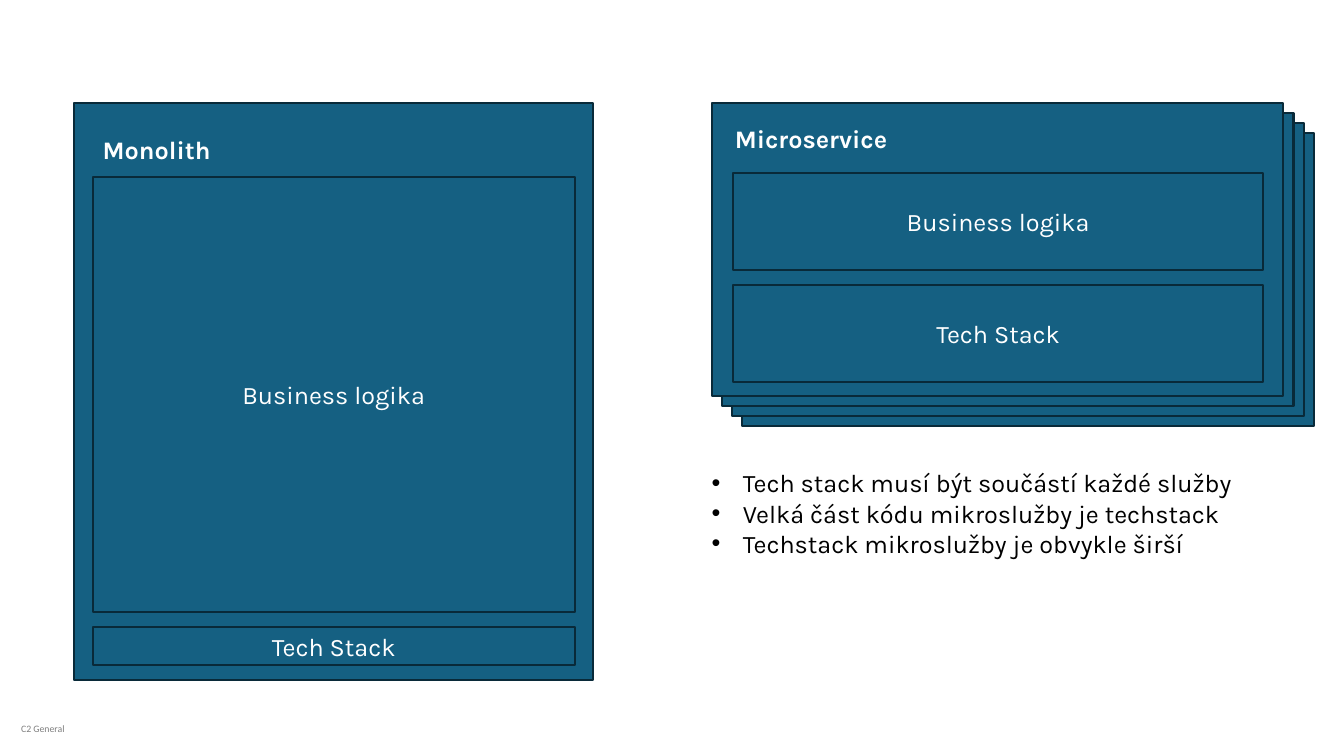
from dataclasses import dataclass

from lxml.etree import SubElement
from pptx import Presentation
from pptx.dml.color import RGBColor
from pptx.enum.shapes import MSO_SHAPE as Preset
from pptx.enum.text import MSO_ANCHOR as Anchor, PP_ALIGN as Align
from pptx.oxml.ns import qn
from pptx.util import Emu, Pt

EMU_PER_PX = 9144


@dataclass(frozen=True)
class Theme:
    fill: str = "156082"
    outline: str = "092A39"
    light: str = "FFFFFF"
    dark: str = "000000"
    muted: str = "7F7F7F"
    font: str = "Karla"
    footer_font: str = "Calibri"
    bullet_font: str = "Arial"
    body_size: int = 18
    footer_size: int = 7
    outline_width: float = 1.5


THEME = Theme()


def px(length):
    return Emu(length * EMU_PER_PX)


def rgb(value):
    return RGBColor.from_string(value)


def add_span(para, text, color, bold=False, font=THEME.font, size=THEME.body_size):
    span = para.add_run()
    span.text = text
    span.font.name = font
    span.font.size = Pt(size)
    span.font.bold = bold
    span.font.color.rgb = rgb(color)


def add_block(shapes, bounds, label=None):
    block = shapes.add_shape(Preset.RECTANGLE, *map(px, bounds))
    block.shadow.inherit = False
    block.fill.solid()
    block.fill.fore_color.rgb = rgb(THEME.fill)
    block.line.color.rgb = rgb(THEME.outline)
    block.line.width = Pt(THEME.outline_width)
    if label:
        frame = block.text_frame
        frame.vertical_anchor = Anchor.MIDDLE
        para = frame.paragraphs[0]
        para.alignment = Align.CENTER
        add_span(para, label, THEME.light)


def add_text_frame(shapes, bounds):
    box = shapes.add_textbox(*map(px, bounds))
    box.text_frame.word_wrap = True
    return box.text_frame


def add_heading(shapes, bounds, text):
    frame = add_text_frame(shapes, bounds)
    add_span(frame.paragraphs[0], text, THEME.light, bold=True)


def make_bullet(para, indent):
    properties = para._p.get_or_add_pPr()
    properties.set("marL", str(px(indent)))
    properties.set("indent", str(-px(indent)))
    SubElement(properties, qn("a:buFont")).set("typeface", THEME.bullet_font)
    SubElement(properties, qn("a:buChar")).set("char", "•")


def add_bullets(shapes, bounds, lines):
    frame = add_text_frame(shapes, bounds)
    for index, line in enumerate(lines):
        para = frame.add_paragraph() if index else frame.paragraphs[0]
        make_bullet(para, 31)
        add_span(para, line, THEME.dark)


def add_footer(shapes, bounds, text):
    frame = add_text_frame(shapes, bounds)
    frame.word_wrap = False
    frame.margin_left = frame.margin_right = 0
    frame.margin_top = frame.margin_bottom = 0
    add_span(frame.paragraphs[0], text, THEME.muted,
             font=THEME.footer_font, size=THEME.footer_size)


def add_monolith(page):
    shapes = page.shapes.add_group_shape().shapes
    add_block(shapes, (73, 102, 515, 573))
    add_block(shapes, (92, 622, 478, 38), "Tech Stack")
    add_block(shapes, (92, 176, 478, 431), "Business logika")
    add_heading(shapes, (92, 128, 159, 40), "Monolith")


def add_microservices(page):
    shapes = page.shapes.add_group_shape().shapes
    for depth in (3, 2, 1, 0):
        offset = 10 * depth
        add_block(shapes, (706 + offset, 102 + offset, 567, 291))
    for top, label in ((283, "Tech Stack"), (172, "Business logika")):
        add_block(shapes, (727, top, 526, 96), label)
    add_heading(shapes, (719, 117, 196, 40), "Microservice")


def main():
    deck = Presentation()
    deck.slide_width, deck.slide_height = px(1333), px(750)
    page = deck.slides.add_slide(deck.slide_layouts[6])
    add_footer(page.shapes, (21, 717, 46, 12), "C2 General")
    add_monolith(page)
    add_microservices(page)
    add_bullets(page.shapes, (696, 459, 589, 101), (
        "Tech stack musí být součástí každé služby",
        "Velká část kódu mikroslužby je techstack",
        "Techstack mikroslužby je obvykle širší",
    ))
    deck.save("out.pptx")


if __name__ == "__main__":
    main()
